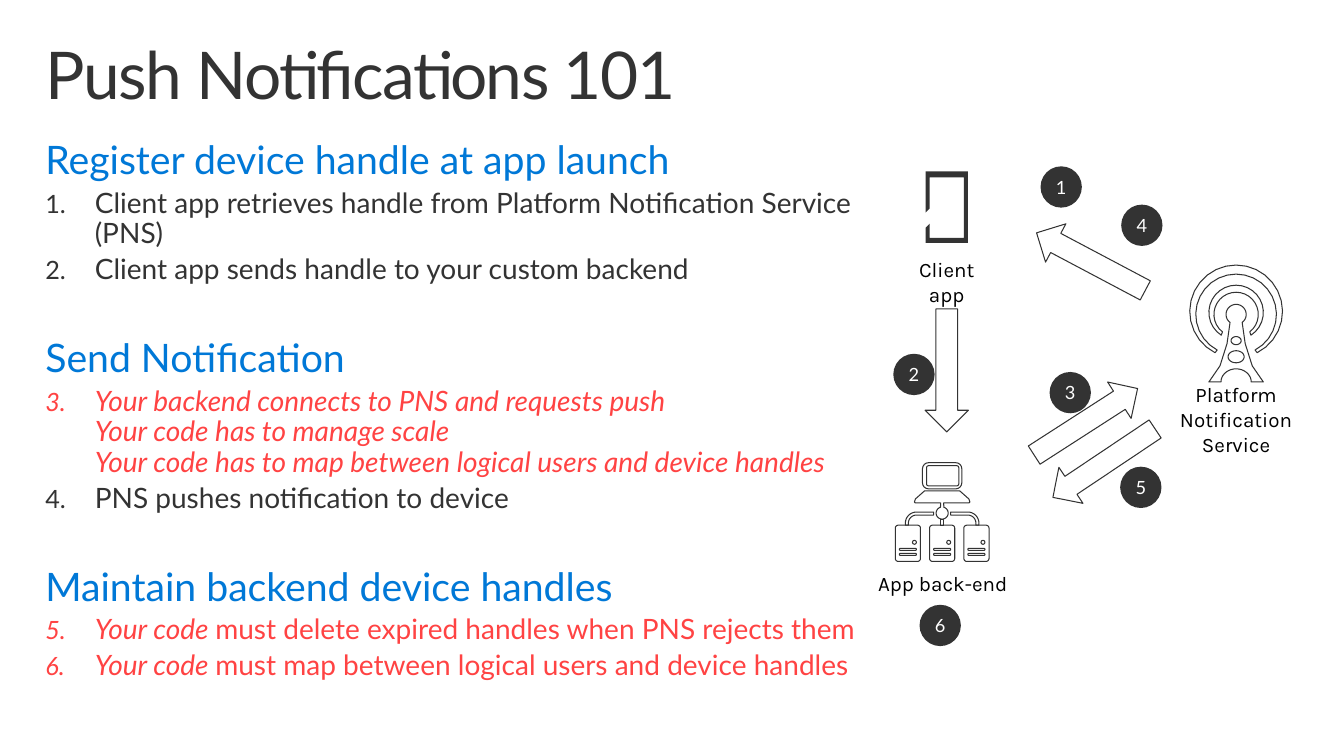
from math import cos, radians, sin

from lxml.etree import SubElement
from pptx import Presentation
from pptx.dml.color import RGBColor
from pptx.enum.shapes import MSO_SHAPE
from pptx.enum.text import MSO_ANCHOR, PP_ALIGN
from pptx.oxml.ns import qn
from pptx.util import Inches, Pt

COLORS = {"dark": "333333", "blue": "0078D7", "red": "FF4343",
          "white": "FFFFFF", "black": "000000"}

# Each section: heading, first number, items; an item is a list of
# (text, color, italic) runs, where a line feed breaks the line.
SECTIONS = [
    ("Register device handle at app launch", 1, [
        [("Client app retrieves handle from Platform Notification Service (PNS)", "dark", False)],
        [("Client app sends handle to your custom backend", "dark", False)]]),
    ("Send Notification", 3, [
        [("Your backend connects to PNS and requests push\nYour code has to manage scale\n"
          "Your code has to map between logical users and device handles", "red", True)],
        [("PNS pushes notification to device", "dark", False)]]),
    ("Maintain backend device handles", 5, [
        [("Your code ", "red", True),
         ("must delete expired handles when PNS rejects them", "red", False)],
        [("Your code ", "red", True),
         ("must map between logical users and device handles", "red", False)]]),
]


def color(name):
    return RGBColor.from_string(COLORS[name])


def add_run(paragraph, text, size, color_name, font="Lato", italic=False):
    for index, line in enumerate(text.split("\n")):
        if index:
            paragraph.add_line_break()
        run = paragraph.add_run()
        run.text = line
        run.font.name, run.font.size, run.font.italic = font, Pt(size), italic
        run.font.color.rgb = color(color_name)
    return run


def set_insets(frame, horizontal, vertical):
    frame.margin_left = frame.margin_right = Inches(horizontal)
    frame.margin_top = frame.margin_bottom = Inches(vertical)


def add_text_frame(slide, box, horizontal=0, vertical=0):
    frame = slide.shapes.add_textbox(*map(Inches, box)).text_frame
    frame.word_wrap = True
    set_insets(frame, horizontal, vertical)
    return frame


def next_paragraph(frame):
    """Return the unused first paragraph, or a new one."""
    first = frame.paragraphs[0]
    return frame.add_paragraph() if first.runs else first


def paint(shape, fill, line=None):
    shape.shadow.inherit = False
    shape.fill.solid()
    shape.fill.fore_color.rgb = color(fill)
    if line:
        shape.line.color.rgb = color(line)
        shape.line.width = Pt(0.75)
    else:
        shape.line.fill.background()


def add_title(slide, box):
    frame = add_text_frame(slide, box, 0.16, 0.1)
    paragraph = frame.paragraphs[0]
    paragraph.line_spacing = 0.9
    run = add_run(paragraph, "Push Notifications 101", 47, "dark")
    run.font._element.set("spc", "-100")


def number_paragraph(paragraph, start):
    paragraph.level = 1
    properties = paragraph._p.get_or_add_pPr()
    properties.set("marL", str(Inches(0.49)))
    properties.set("indent", str(-Inches(0.49)))
    SubElement(properties, qn("a:buSzPct"), val="90000")
    SubElement(properties, qn("a:buAutoNum"), type="arabicPeriod", startAt=str(start))


def add_steps(slide, box):
    frame = add_text_frame(slide, box, 0.16, 0.1)
    for index, (heading, start, items) in enumerate(SECTIONS):
        paragraph = next_paragraph(frame)
        paragraph.line_spacing = 0.9
        paragraph.space_before = Pt(38 if index else 0)
        add_run(paragraph, heading, 28, "blue")
        for runs in items:
            paragraph = next_paragraph(frame)
            number_paragraph(paragraph, start)
            paragraph.line_spacing = 0.9
            paragraph.space_before = Pt(4.2)
            for text, color_name, italic in runs:
                add_run(paragraph, text, 20, color_name, italic=italic)


def arc(x, y, radius, start=0, end=360, radius_y=None, steps=24):
    """Points on an ellipse around (x, y), clockwise in degrees from the right."""
    angles = [radians(start + (end - start) * step / steps) for step in range(steps + 1)]
    return [(x + radius * cos(a), y + (radius_y or radius) * sin(a)) for a in angles]


def round_box(left, top, width, height, radius):
    right, bottom = left + width - radius, top + height - radius
    left, top = left + radius, top + radius
    corners = [(left, top), (right, top), (right, bottom), (left, bottom)]
    return [point for index, (x, y) in enumerate(corners)
            for point in arc(x, y, radius, 180 + 90 * index, 270 + 90 * index, steps=4)]


def add_outline(slide, left, top, contours, fill="white", line="dark"):
    """Draw closed contours, relative to (left, top), as one freeform."""
    placed = [[(Inches(left + x), Inches(top + y)) for x, y in contour] for contour in contours]
    builder = slide.shapes.build_freeform(*placed[0][0], scale=1.0)
    for index, contour in enumerate(placed):
        if index:
            builder.move_to(*contour[0])
        builder.add_line_segments(contour[1:], close=True)
    paint(builder.convert_to_shape(), fill, line)


def add_tower(slide, left, top):
    x = 0.46
    outer_ring = arc(x, 0.46, 0.46, 117, 423) + arc(x, 0.49, 0.4, 422, 118)
    inner_ring = arc(x, 0.47, 0.27, 123, 417) + arc(x, 0.49, 0.22, 412, 128)
    mast = (arc(x, 0.49, 0.1, 127, 413) + [(0.55, 0.78), (0.62, 1), (0.73, 1.16)]
            + arc(x, 1.16, 0.15, 360, 180, 0.13) + [(0.19, 1.16), (0.3, 1), (0.37, 0.78)])
    holes = [arc(x, 0.75, 0.05, radius_y=0.04), arc(x, 0.91, 0.08, radius_y=0.06)]
    add_outline(slide, left, top, [outer_ring, inner_ring, mast, *holes])


def add_servers(slide, left, top):
    width, pitch = 0.93, 0.34
    monitor = [round_box(0.27, 0, 0.39, 0.26, 0.06), round_box(0.31, 0.03, 0.32, 0.2, 0.02)]
    hub = ([(0.29, 0.28), (0.64, 0.28), (0.73, 0.36), (0.74, 0.39), (0.73, 0.4), (0.48, 0.4)]
           + arc(0.465, 0.5, 0.06, -74, 254) + [(0.45, 0.4), (0.2, 0.4), (0.19, 0.39), (0.2, 0.36)])
    pipe = ([(0.1, 0.62)] + arc(0.21, 0.6, 0.11, 180, 270, steps=8) + [(0.38, 0.49), (0.38, 0.52)]
            + arc(0.21, 0.6, 0.08, 270, 180, steps=8) + [(0.13, 0.62)])
    pipes = [pipe, [(width - x, y) for x, y in pipe],
             [(0.45, 0.56), (0.48, 0.56), (0.48, 0.62), (0.45, 0.62)]]
    contours = [*monitor, hub, *pipes]
    for index in range(3):
        x = pitch * index
        contours += [round_box(x, 0.62, 0.25, 0.36, 0.03), arc(x + 0.19, 0.79, 0.02, steps=8)]
        contours += [round_box(x + 0.04, y, 0.17, 0.02, 0.01) for y in (0.85, 0.9)]
    add_outline(slide, left, top, contours)


def add_phone(slide, left, top):
    frame = [(0.04, 0.06), (0.38, 0.06), (0.38, 0.66), (0.04, 0.66), (0.04, 0.52), (0, 0.56),
             (0, 0.71), (0.42, 0.71), (0.42, 0), (0, 0), (0, 0.41), (0.04, 0.37)]
    add_outline(slide, left, top, [frame], "dark", None)


def add_label(slide, box, *lines):
    frame = add_text_frame(slide, box)
    for line in lines:
        paragraph = next_paragraph(frame)
        paragraph.alignment = PP_ALIGN.CENTER
        add_run(paragraph, line, 14.7, "black", "Karla")


def add_badge(slide, left, top, number):
    badge = slide.shapes.add_shape(MSO_SHAPE.OVAL, *map(Inches, (left, top, 0.41, 0.41)))
    paint(badge, "dark")
    set_insets(badge.text_frame, 0, 0)
    badge.text_frame.vertical_anchor = MSO_ANCHOR.MIDDLE
    paragraph = badge.text_frame.paragraphs[0]
    paragraph.alignment = PP_ALIGN.CENTER
    add_run(paragraph, str(number), 13, "white")


def add_diagram(slide, left, top):
    add_tower(slide, left + 3.11, top + 0.98)
    add_label(slide, (left + 2.95, top + 2.14, 1.24, 0.74), "Platform", "Notification", "Service")
    add_servers(slide, left + 0.19, top + 2.94)
    add_label(slide, (left, top + 4.01, 1.32, 0.25), "App back-end")
    add_phone(slide, left + 0.49, top + 0.05)
    add_label(slide, (left + 0.36, top + 0.9, 0.68, 0.5), "Client app")
    badges = [(1.63, 0), (0.17, 1.86), (1.72, 2.04), (2.43, 0.38), (2.42, 2.98), (0.43, 4.35)]
    for number, (x, y) in enumerate(badges, 1):
        add_badge(slide, left + x, top + y, number)
    arrows = [(1.52, 0.73, 207.9), (0.09, 1.81, 90), (1.47, 2.32, 327.2), (1.65, 2.73, 146.2)]
    for x, y, rotation in arrows:
        box = map(Inches, (left + x, top + y, 1.22, 0.43))
        arrow = slide.shapes.add_shape(MSO_SHAPE.RIGHT_ARROW, *box)
        arrow.rotation = rotation
        paint(arrow, "white", "dark")


def main():
    presentation = Presentation()
    presentation.slide_width, presentation.slide_height = Inches(13.33), Inches(7.5)
    slide = presentation.slides.add_slide(presentation.slide_layouts[6])
    add_title(slide, (0.29, 0.32, 12.75, 0.98))
    add_steps(slide, (0.29, 1.3, 8.39, 5.6))
    add_diagram(slide, 8.69, 1.65)
    presentation.save("out.pptx")


if __name__ == "__main__":
    main()
